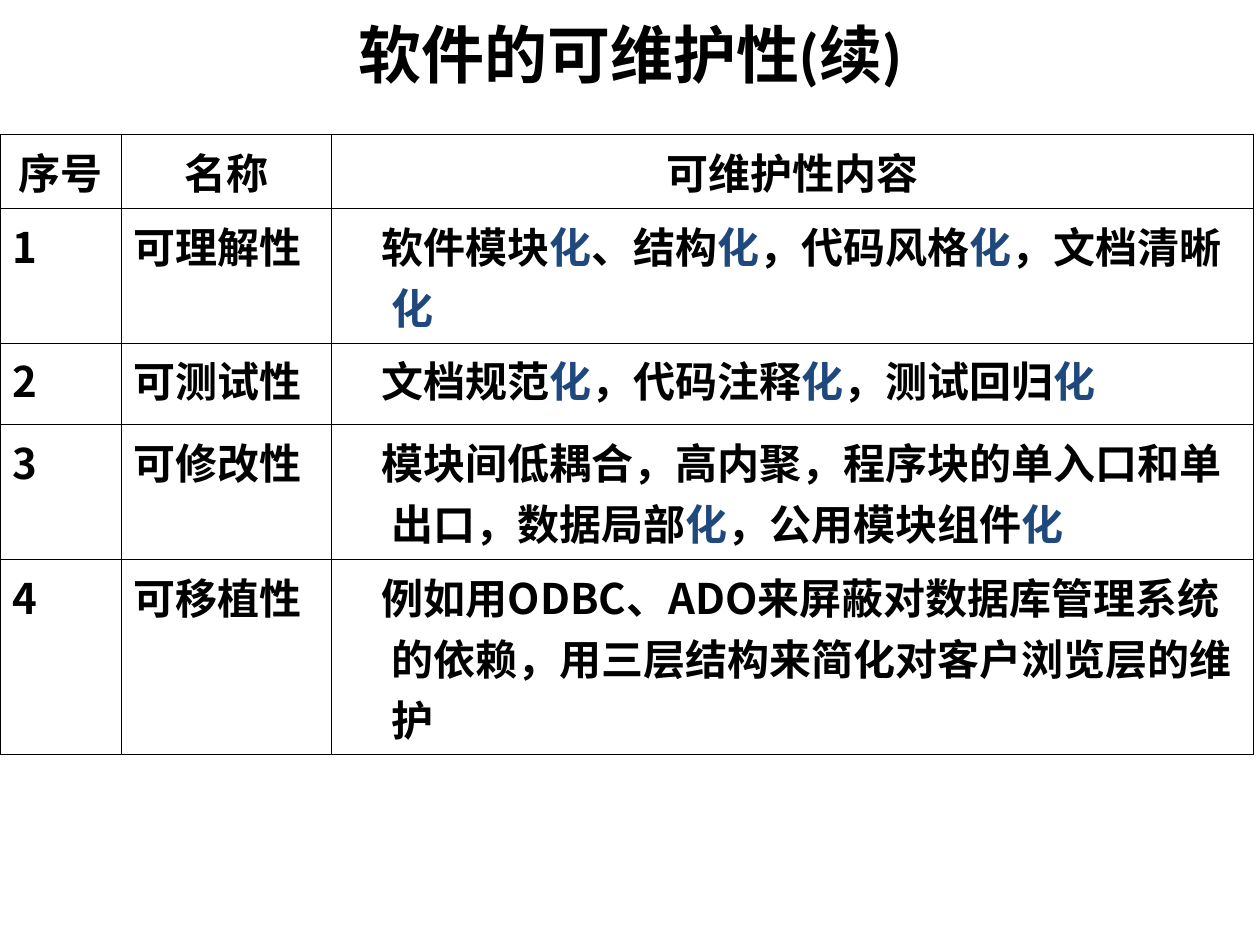
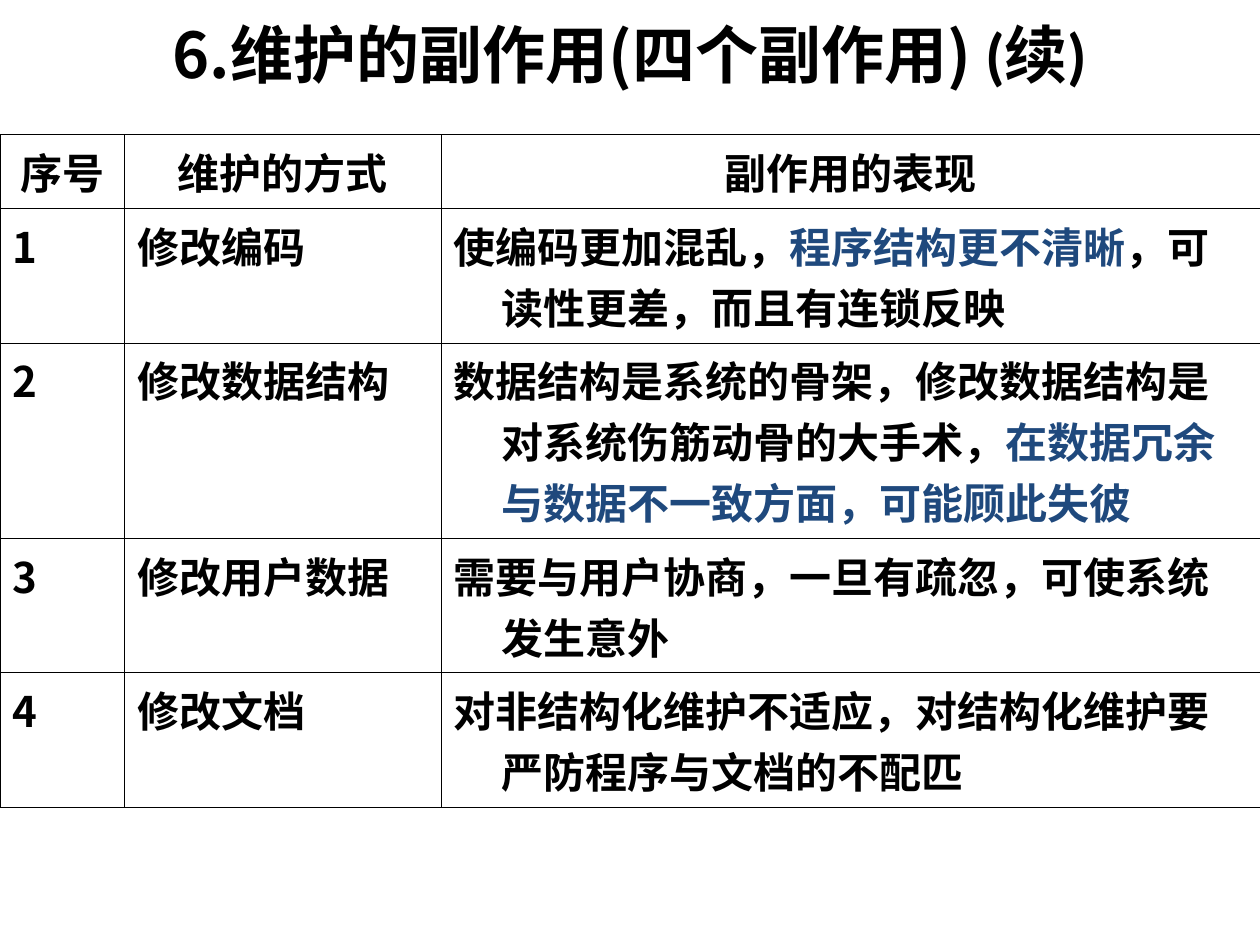
from lxml.etree import SubElement
from pptx import Presentation
from pptx.dml.color import RGBColor
from pptx.enum.text import MSO_ANCHOR, MSO_AUTO_SIZE, PP_ALIGN
from pptx.oxml.ns import qn
from pptx.util import Inches, Pt

GRID = Inches(10) // 100
TITLE_BOX = (3.3, 0, 93.4, 8.4)
TABLE_ORIGIN = (0, 10.7)
HANGING = 3.8
CJK_FONT = "Noto Sans CJK SC"
LATIN_FONT = "Calibri"
INK = "000000"
ACCENT = "1F497D"
BORDER_WIDTH = Pt(0.45)

MAINTAINABILITY = {
    "title": ("软件的可维护性", "(续)"),
    "columns": (9.6, 16.7, 73.2),
    "rows": (5.5, 9, 6.5, 10.1, 13),
    "first_line": 3,
    "cells": [
        ("序号", "名称", "可维护性内容"),
        ("1", "可理解性", "软件模块*化*、结构*化*，代码风格*化*，文档清晰*化*"),
        ("2", "可测试性", "文档规范*化*，代码注释*化*，测试回归*化*"),
        ("3", "可修改性", "模块间低耦合，高内聚，程序块的单入口和单出口，数据局部*化*，公用模块组件*化*"),
        ("4", "可移植性", "例如用ODBC、ADO来屏蔽对数据库管理系统的依赖，用三层结构来简化对客户浏览层的维护"),
    ],
}
SIDE_EFFECTS = {
    "title": ("6.维护的副作用(四个副作用) ", "(续)"),
    "columns": (9.9, 25.1, 65),
    "rows": (5.8, 9.1, 13, 9.1, 9),
    "first_line": 0,
    "cells": [
        ("序号", "维护的方式", "副作用的表现"),
        ("1", "修改编码", "使编码更加混乱，*程序结构更不清晰*，可读性更差，而且有连锁反映"),
        ("2", "修改数据结构", "数据结构是系统的骨架，修改数据结构是对系统伤筋动骨的大手术，*在数据冗余与数据不一致方面，可能顾此失彼*"),
        ("3", "修改用户数据", "需要与用户协商，一旦有疏忽，可使系统发生意外"),
        ("4", "修改文档", "对非结构化维护不适应，对结构化维护要严防程序与文档的不配匹"),
    ],
}


def units(count):
    """Convert grid units to a length."""
    return round(count * GRID)


def color(value):
    """Turn a hex string into a colour."""
    return RGBColor.from_string(value)


def add_run(paragraph, text, size, fill=INK, latin=CJK_FONT):
    """Append a bold run with its Latin and East Asian fonts."""
    run = paragraph.add_run()
    run.text = text
    run.font.size = Pt(size)
    run.font.bold = True
    run.font.color.rgb = color(fill)
    run.font.name = latin
    properties = run.font._element
    SubElement(properties, qn("a:ea")).set("typeface", CJK_FONT)


def add_title(slide, parts, box):
    """Place the title and its continuation mark in the given box."""
    title = slide.shapes.title
    title.left, title.top, title.width, title.height = map(units, box)
    frame = title.text_frame
    frame.auto_size = MSO_AUTO_SIZE.NONE
    frame.vertical_anchor = MSO_ANCHOR.MIDDLE
    paragraph = frame.paragraphs[0]
    paragraph.alignment = PP_ALIGN.CENTER
    for text, latin in zip(parts, (CJK_FONT, LATIN_FONT)):
        add_run(paragraph, text, 36, latin=latin)


def draw_borders(cell):
    """Draw a thin line on all four sides of a cell."""
    properties = cell._tc.get_or_add_tcPr()
    for side in ("a:lnL", "a:lnR", "a:lnT", "a:lnB"):
        line = SubElement(properties, qn(side), w=str(BORDER_WIDTH))
        fill = SubElement(line, qn("a:solidFill"))
        SubElement(fill, qn("a:srgbClr"), val=INK)


def fill_cell(cell, text, centered, first_line):
    """Write a cell with a hanging indent, accenting text between asterisks."""
    draw_borders(cell)
    cell.fill.background()
    paragraph = cell.text_frame.paragraphs[0]
    paragraph.alignment = PP_ALIGN.CENTER if centered else PP_ALIGN.LEFT
    properties = paragraph._p.get_or_add_pPr()
    properties.set("marL", str(units(HANGING)))
    properties.set("indent", str(units(first_line - HANGING)))
    for index, part in enumerate(text.split("*")):
        if part:
            add_run(paragraph, part, 24, ACCENT if index % 2 else INK)


def add_grid_table(slide, content, origin):
    """Build the bordered table from its column and row sizes."""
    columns, rows = content["columns"], content["rows"]
    left, top = map(units, origin)
    table = slide.shapes.add_table(
        len(rows), len(columns), left, top, units(sum(columns)), units(sum(rows))
    ).table
    table.first_row = table.horz_banding = False
    for column, width in zip(table.columns, columns):
        column.width = units(width)
    for row, height in zip(table.rows, rows):
        row.height = units(height)
    for row_index, texts in enumerate(content["cells"]):
        for column_index, text in enumerate(texts):
            is_header = row_index == 0
            is_description = column_index == 2 and not is_header
            first_line = content["first_line"] if is_description else 0
            fill_cell(table.cell(row_index, column_index), text, is_header, first_line)


def add_table_slide(presentation, content):
    """Add a slide with a title above a table."""
    slide = presentation.slides.add_slide(presentation.slide_layouts[5])
    add_title(slide, content["title"], TITLE_BOX)
    add_grid_table(slide, content, TABLE_ORIGIN)


def main():
    """Build and save the presentation."""
    presentation = Presentation()
    presentation.slide_width = units(100)
    presentation.slide_height = units(75)
    for content in (MAINTAINABILITY, SIDE_EFFECTS):
        add_table_slide(presentation, content)
    presentation.save("out.pptx")


if __name__ == "__main__":
    main()
